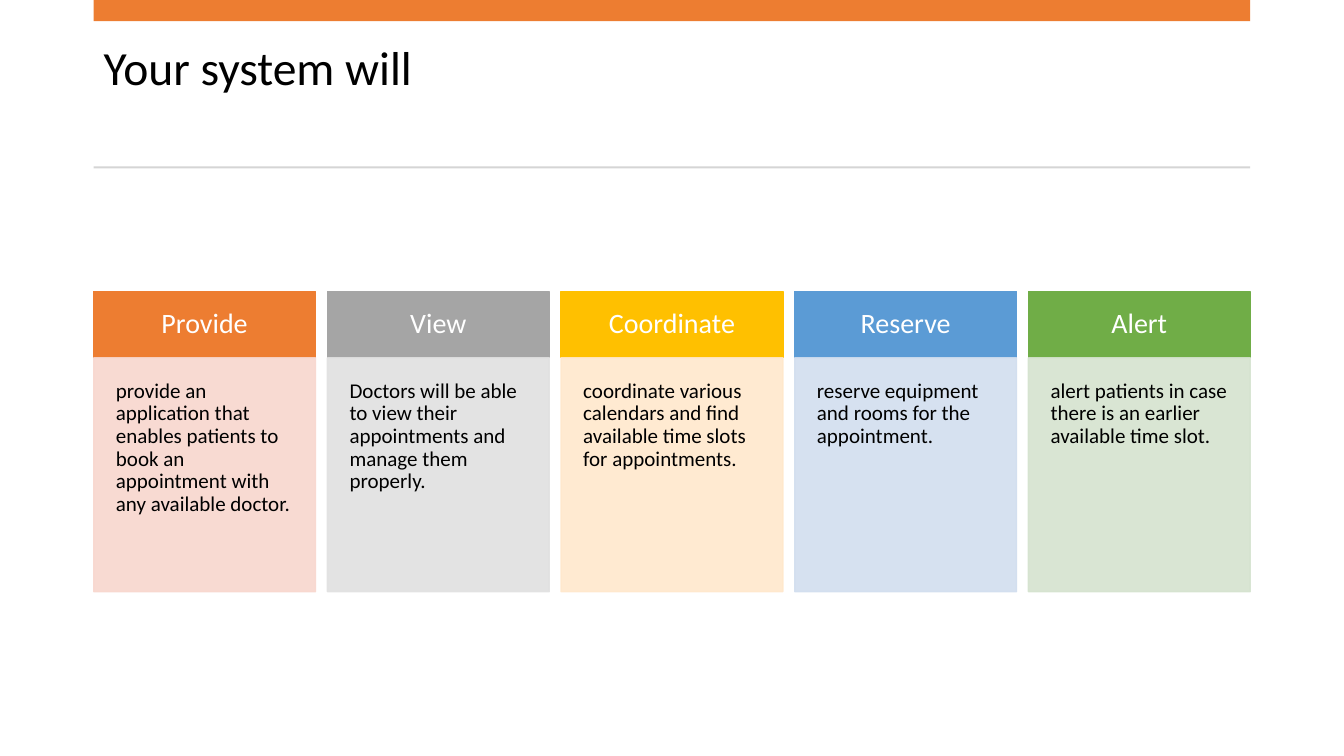
from lxml import etree
from pptx import Presentation, util as u
from pptx.dml.color import RGBColor
from pptx.enum import shapes, text
from pptx.oxml.ns import qn

CARDS = [
    ("Provide", "ED7D31", "F8D7CE",
     "provide an application that enables patients to book an appointment with any available doctor."),
    ("View", "A5A5A5", "E1E1E1",
     "Doctors will be able to view their appointments and manage them properly."),
    ("Coordinate", "FFC000", "FFE8CC",
     "coordinate various calendars and find available time slots for appointments."),
    ("Reserve", "5B9BD5", "D2DEEF",
     "reserve equipment and rooms for the appointment."),
    ("Alert", "70AD47", "D5E3CF",
     "alert patients in case there is an earlier available time slot."),
]


def color(value):
    return RGBColor.from_string(value)


class CardSlide:
    """Draws styled elements on a grid of five columns and 75 rows."""

    FONT = "Calibri"
    LEFT, SPAN, COLUMNS, COLUMN_WIDTH = 0.93, 11.47, 5, 2.2
    GAP = (SPAN - COLUMNS * COLUMN_WIDTH) / (COLUMNS - 1)
    ROW = 0.1

    def __init__(self, presentation):
        self.slide = presentation.slides.add_slide(presentation.slide_layouts[6])

    def place(self, column, row, columns, rows):
        pitch = self.COLUMN_WIDTH + self.GAP
        return [u.Inches(length) for length in (
            self.LEFT + column * pitch, row * self.ROW,
            columns * pitch - self.GAP, rows * self.ROW)]

    def label(self, shape, words, size, ink, align, anchor, inset):
        frame = shape.text_frame
        frame.word_wrap = True
        frame.vertical_anchor = anchor
        frame.margin_left, frame.margin_top, frame.margin_right, frame.margin_bottom = (
            u.Inches(side) for side in inset)
        paragraph = frame.paragraphs[0]
        paragraph.text = words
        paragraph.alignment = align
        paragraph.line_spacing = 0.9
        paragraph.font.name = self.FONT
        paragraph.font.size = u.Pt(size)
        paragraph.font.color.rgb = color(ink)

    def title(self, words):
        box = self.slide.shapes.add_textbox(*self.place(0, 3.7, self.COLUMNS, 11.8))
        self.label(box, words, 34, "000000", text.PP_ALIGN.LEFT,
                   text.MSO_ANCHOR.TOP, (0.1, 0.07, 0.1, 0.05))

    def block(self, column, row, columns, rows, fill):
        shape = self.slide.shapes.add_shape(
            shapes.MSO_SHAPE.RECTANGLE, *self.place(column, row, columns, rows))
        shape.shadow.inherit = False
        shape.fill.solid()
        shape.fill.fore_color.rgb = color(fill)
        shape.line.fill.background()
        return shape

    def outline(self, shape, ink):
        shape.line.color.rgb = color(ink)
        shape.line.width = u.Pt(1)

    def soften(self, shape, percent):
        for tint in shape._element.spPr.iter(qn("a:srgbClr")):
            etree.SubElement(tint, qn("a:alpha"), val=str(percent * 1000))

    def card(self, column, heading, strong, pale, words):
        header = self.block(column, 28.9, 1, 6.6, strong)
        self.outline(header, strong)
        self.label(header, heading, 20, "FFFFFF", text.PP_ALIGN.CENTER,
                   text.MSO_ANCHOR.MIDDLE, [0.17] * 4)
        body = self.block(column, 35.5, 1, 23.2, pale)
        self.outline(body, pale)
        self.soften(body, 90)
        self.label(body, words, 15, "000000", text.PP_ALIGN.LEFT,
                   text.MSO_ANCHOR.TOP, [0.22] * 4)


def main():
    presentation = Presentation()
    presentation.slide_width = u.Inches(13.33)
    presentation.slide_height = u.Inches(7.5)
    page = CardSlide(presentation)
    page.title("Your system will")
    page.block(0, 0, page.COLUMNS, 2.1, "ED7D31")
    page.block(0, 16.5, page.COLUMNS, 0.2, "D5D5D5")
    for column, card in enumerate(CARDS):
        page.card(column, *card)
    presentation.save("out.pptx")


if __name__ == "__main__":
    main()
